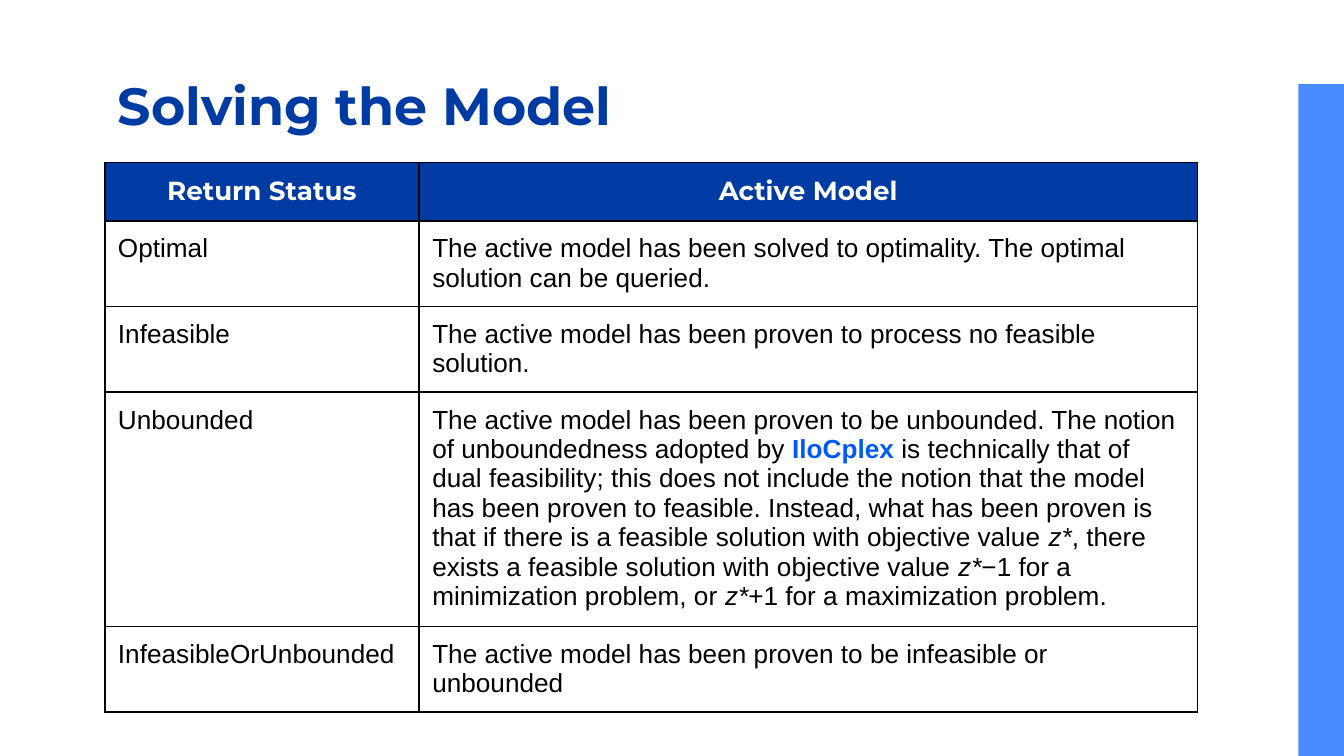
import pptx
import pptx.dml.color
import pptx.enum.shapes
import pptx.enum.text
import pptx.oxml
import pptx.oxml.ns
import pptx.util
from pptx.util import Cm

COLORS = {
    "navy": "003BA3",
    "sidebar": "4A8CFF",
    "keyword": "005AF7",
    "text": "000000",
    "white": "FFFFFF",
}
HEADINGS = ["Return Status", "Active Model"]
# Each description is a list of (text, style) runs.
STATUSES = [
    ("Optimal", [("The active model has been solved to optimality. "
                  "The optimal solution can be queried.", "plain")]),
    ("Infeasible", [("The active model has been proven to process "
                     "no feasible solution.", "plain")]),
    ("Unbounded", [
        ("The active model has been proven to be unbounded. The notion of "
         "unboundedness adopted by ", "plain"),
        ("IloCplex", "keyword"),
        (" is technically that of dual feasibility; this does not include "
         "the notion that the model has been proven to feasible. Instead, "
         "what has been proven is that if there is a feasible solution with "
         "objective value ", "plain"),
        ("z*", "variable"),
        (", there exists a feasible solution with objective value ", "plain"),
        ("z*", "variable"),
        ("−1 for a minimization problem, or ", "plain"),
        ("z*", "variable"),
        ("+1 for a maximization problem.", "plain"),
    ]),
    ("InfeasibleOrUnbounded", [("The active model has been proven to be "
                                "infeasible or unbounded", "plain")]),
]
STYLES = {
    "title": dict(size=28, font="Montserrat", color="navy", bold=True),
    "heading": dict(font="Montserrat", color="white", bold=True),
    "plain": dict(),
    "keyword": dict(color="keyword", bold=True),
    "variable": dict(italic=True),
}
INSET = Cm(0.25)


def rgb(name):
    return pptx.dml.color.RGBColor.from_string(COLORS[name])


def add_run(paragraph, text, size=14, font="Arial", color="text",
            bold=False, italic=False):
    run = paragraph.add_run()
    run.text = text
    run.font.size = pptx.util.Pt(size)
    run.font.name = font
    run.font.color.rgb = rgb(color)
    run.font.bold = bold
    run.font.italic = italic


def set_insets(holder):
    holder.margin_left = holder.margin_right = INSET
    holder.margin_top = holder.margin_bottom = INSET


def add_borders(cell):
    properties = cell._tc.get_or_add_tcPr()
    for side in "LRTB":
        properties.append(pptx.oxml.parse_xml(
            f'<a:ln{side} {pptx.oxml.ns.nsdecls("a")} w="12700"><a:solidFill>'
            f'<a:srgbClr val="{COLORS["text"]}"/></a:solidFill></a:ln{side}>'))


def fill_cell(cell, runs, heading=False):
    set_insets(cell)
    add_borders(cell)
    paragraph = cell.text_frame.paragraphs[0]
    if heading:
        cell.fill.solid()
        cell.fill.fore_color.rgb = rgb("navy")
        cell.vertical_anchor = pptx.enum.text.MSO_ANCHOR.MIDDLE
        paragraph.alignment = pptx.enum.text.PP_ALIGN.CENTER
    else:
        cell.fill.background()
        cell.vertical_anchor = pptx.enum.text.MSO_ANCHOR.TOP
    for text, style in runs:
        add_run(paragraph, text, **STYLES[style])


def place_title(slide, left, top, width, height):
    title = slide.shapes.title
    title.left, title.top, title.width, title.height = left, top, width, height
    frame = title.text_frame
    set_insets(frame)
    frame.word_wrap = True
    frame.vertical_anchor = pptx.enum.text.MSO_ANCHOR.MIDDLE
    paragraph = frame.paragraphs[0]
    paragraph.alignment = pptx.enum.text.PP_ALIGN.LEFT
    add_run(paragraph, "Solving the Model", **STYLES["title"])


def add_sidebar(slide, left, top, width, height):
    sidebar = slide.shapes.add_shape(
        pptx.enum.shapes.MSO_SHAPE.RECTANGLE, left, top, width, height)
    sidebar.shadow.inherit = False
    sidebar.fill.solid()
    sidebar.fill.fore_color.rgb = rgb("sidebar")
    sidebar.line.fill.background()


def add_status_table(slide, left, top, width, height):
    """Rows share the height by their number of text lines."""
    table = slide.shapes.add_table(
        len(STATUSES) + 1, len(HEADINGS), left, top, width, height).table
    table.horz_banding = False
    table.columns[0].width = Cm(5.94)
    table.columns[1].width = width - Cm(5.94)

    line_counts = [1, 2, 2, 7, 2]
    padding = 2 * INSET
    line_height = (height - padding * len(line_counts)) / sum(line_counts)
    for row, lines in zip(table.rows, line_counts):
        row.height = int(padding + lines * line_height)

    for column, heading in enumerate(HEADINGS):
        fill_cell(table.cell(0, column), [(heading, "heading")], heading=True)
    for row, (status, description) in enumerate(STATUSES, start=1):
        fill_cell(table.cell(row, 0), [(status, "plain")])
        fill_cell(table.cell(row, 1), description)


def main():
    deck = pptx.Presentation()
    deck.slide_width, deck.slide_height = Cm(25.4), Cm(14.29)
    slide = deck.slides.add_slide(deck.slide_layouts[5])
    bar_width, bar_top = Cm(0.86), Cm(1.59)
    add_sidebar(slide, deck.slide_width - bar_width, bar_top,
                bar_width, deck.slide_height - bar_top)
    margin = Cm(1.98)
    place_title(slide, margin, Cm(1.07), Cm(21.41), Cm(1.8))
    add_status_table(slide, margin, Cm(3.07), Cm(20.65), Cm(10.35))
    deck.save("out.pptx")


if __name__ == "__main__":
    main()
